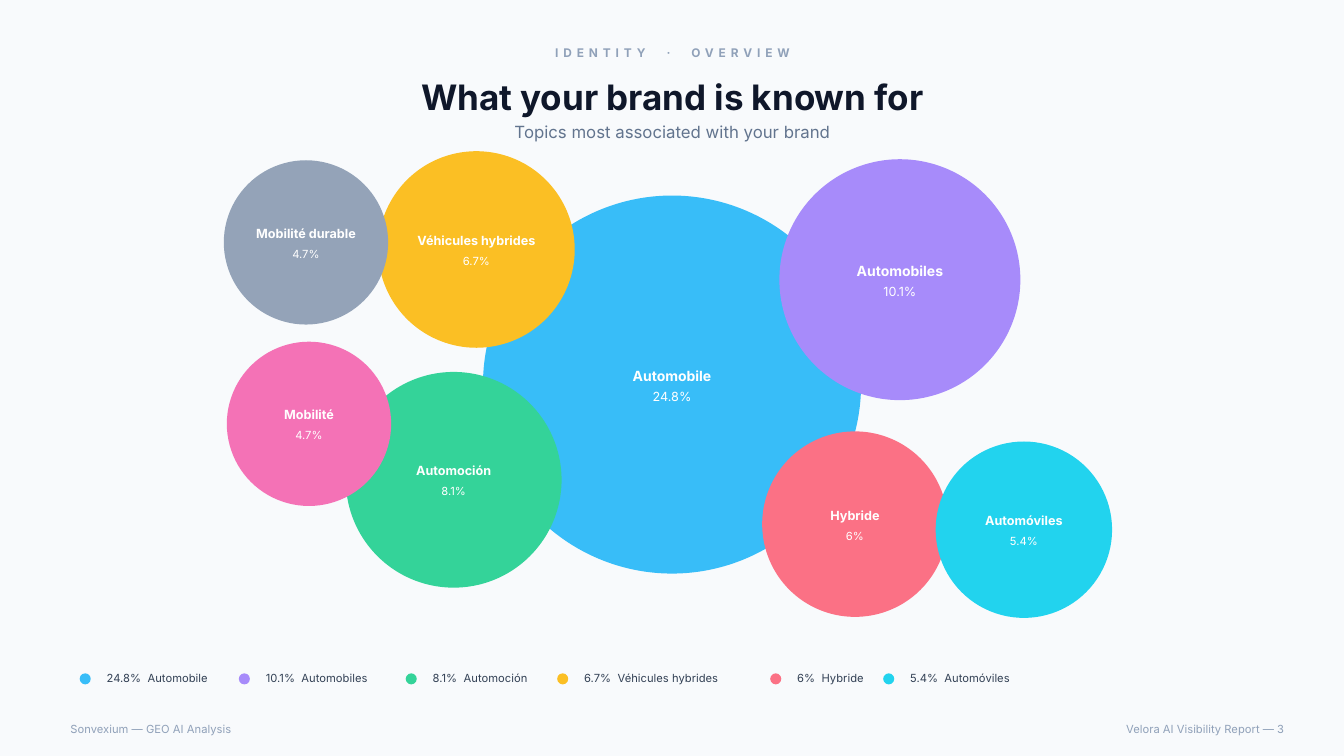
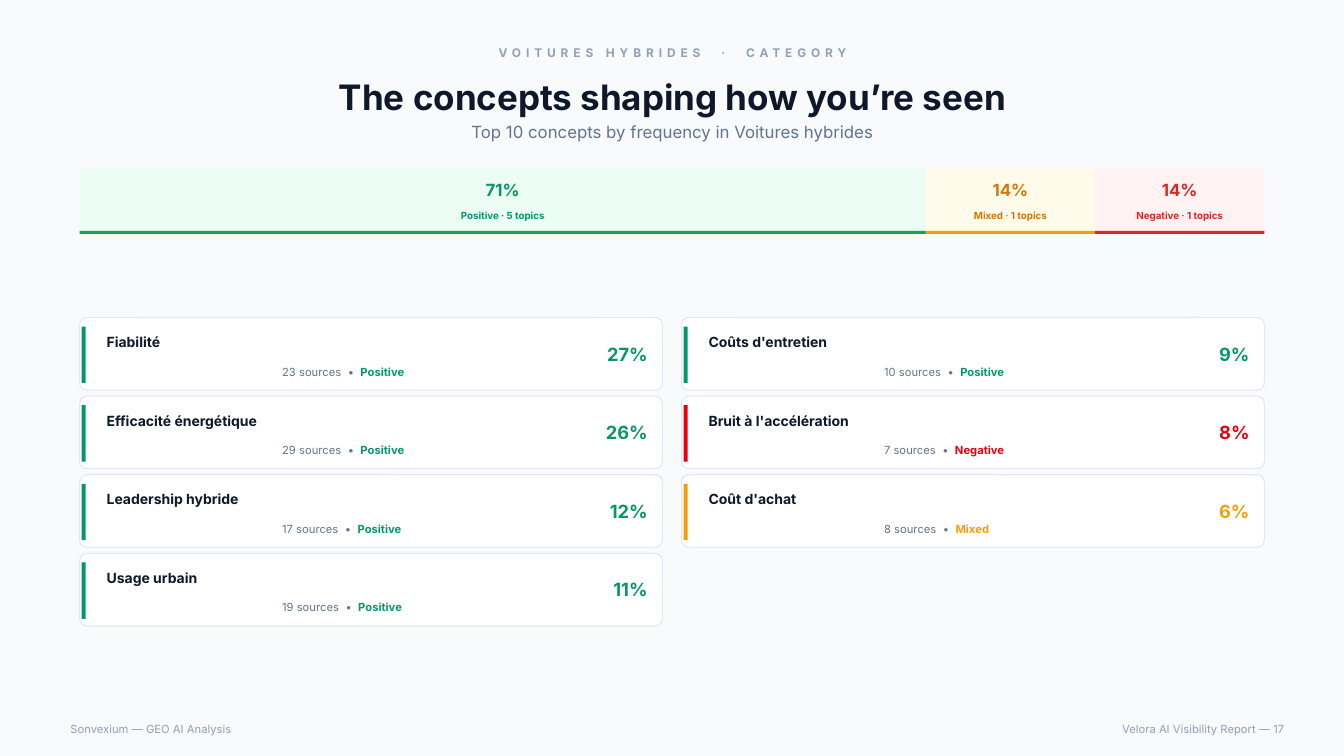
"""Build two brand visibility slides: topic bubbles and concept sentiment cards."""
from dataclasses import dataclass
from typing import NamedTuple

from pptx import Presentation
from pptx import util as u
from pptx.dml.color import RGBColor
from pptx.enum import shapes, text
from pptx.shapes.autoshape import Shape
from pptx.slide import Slide

FONT = "Inter"
CANVAS = RGBColor(0xF8, 0xFA, 0xFC)
WHITE = RGBColor(0xFF, 0xFF, 0xFF)
INK = RGBColor(0x0F, 0x17, 0x2A)
SLATE = RGBColor(0x33, 0x41, 0x55)
MUTED = RGBColor(0x62, 0x74, 0x8E)
FAINT = RGBColor(0x90, 0xA1, 0xB9)
BORDER = RGBColor(0xE2, 0xE8, 0xF0)
SKY = RGBColor(0x38, 0xBD, 0xF8)
VIOLET = RGBColor(0xA7, 0x8B, 0xFA)
MINT = RGBColor(0x34, 0xD3, 0x99)
YELLOW = RGBColor(0xFB, 0xBF, 0x24)
ROSE = RGBColor(0xFB, 0x71, 0x85)
CYAN = RGBColor(0x22, 0xD3, 0xEE)
PINK = RGBColor(0xF4, 0x72, 0xB6)
GREY = RGBColor(0x94, 0xA3, 0xB8)
GREEN = RGBColor(0x05, 0x96, 0x69)
GREEN_RULE = RGBColor(0x16, 0xA3, 0x4A)
GREEN_TINT = RGBColor(0xEC, 0xFD, 0xF5)
AMBER = RGBColor(0xF5, 0x9E, 0x0B)
AMBER_DARK = RGBColor(0xD9, 0x77, 0x06)
AMBER_TINT = RGBColor(0xFF, 0xFB, 0xEB)
RED = RGBColor(0xDC, 0x26, 0x26)
RED_BRIGHT = RGBColor(0xE7, 0x00, 0x0B)
RED_TINT = RGBColor(0xFE, 0xF2, 0xF2)

LEFT = text.PP_ALIGN.LEFT
CENTER = text.PP_ALIGN.CENTER
RIGHT = text.PP_ALIGN.RIGHT
MIDDLE = text.MSO_ANCHOR.MIDDLE
TOP = text.MSO_ANCHOR.TOP
RECTANGLE = shapes.MSO_SHAPE.RECTANGLE
ROUNDED = shapes.MSO_SHAPE.ROUNDED_RECTANGLE
OVAL = shapes.MSO_SHAPE.OVAL

MARGIN = 0.79
CONTENT_WIDTH = 11.75
SPACE_EM = 0.28


class Box(NamedTuple):
    left: float
    top: float
    width: float
    height: float


@dataclass(frozen=True)
class Style:
    size: float
    color: RGBColor
    bold: bool = False
    spacing: float = 0


class Span(NamedTuple):
    text: str
    style: Style


@dataclass(frozen=True)
class Topic:
    name: str
    share: str
    color: RGBColor
    left: float
    top: float
    diameter: float


@dataclass(frozen=True)
class Sentiment:
    name: str
    topics: int
    tint: RGBColor
    rule: RGBColor
    label: RGBColor
    accent: RGBColor


@dataclass(frozen=True)
class Concept:
    name: str
    sources: int
    share: str
    sentiment: Sentiment


EYEBROW = Style(8.5, FAINT, True, 3.5)
TITLE = Style(25, INK, True)
SUBTITLE = Style(12, MUTED)
FOOTER = Style(8, FAINT)
LEGEND = Style(8, SLATE)
CARD_NAME = Style(10, INK, True)
CARD_DETAIL = Style(8, MUTED)

TOPICS = [
    Topic("Automobile", "24.8%", SKY, 4.79, 1.94, 3.75),
    Topic("Automobiles", "10.1%", VIOLET, 7.73, 1.58, 2.39),
    Topic("Automoción", "8.1%", MINT, 3.43, 3.69, 2.14),
    Topic("Véhicules hybrides", "6.7%", YELLOW, 3.75, 1.5, 1.95),
    Topic("Hybride", "6%", ROSE, 7.56, 4.28, 1.84),
    Topic("Automóviles", "5.4%", CYAN, 9.28, 4.38, 1.75),
    Topic("Mobilité", "4.7%", PINK, 2.25, 3.39, 1.63),
    Topic("Mobilité durable", "4.7%", GREY, 2.22, 1.59, 1.63),
]
LEGEND_COUNT = 6

POSITIVE = Sentiment("Positive", 5, GREEN_TINT, GREEN_RULE, GREEN, GREEN)
MIXED = Sentiment("Mixed", 1, AMBER_TINT, AMBER, AMBER_DARK, AMBER)
NEGATIVE = Sentiment("Negative", 1, RED_TINT, RED, RED, RED_BRIGHT)
SENTIMENTS = [POSITIVE, MIXED, NEGATIVE]

CONCEPTS = [
    Concept("Fiabilité", 23, "27%", POSITIVE),
    Concept("Efficacité énergétique", 29, "26%", POSITIVE),
    Concept("Leadership hybride", 17, "12%", POSITIVE),
    Concept("Usage urbain", 19, "11%", POSITIVE),
    Concept("Coûts d'entretien", 10, "9%", POSITIVE),
    Concept("Bruit à l'accélération", 7, "8%", NEGATIVE),
    Concept("Coût d'achat", 8, "6%", MIXED),
]
CARD_ROWS = 4


def inches(box: Box) -> list[u.Length]:
    return [u.Inches(value) for value in box]


def add_shape(slide: Slide, kind: shapes.MSO_SHAPE, box: Box, fill: RGBColor) -> Shape:
    shape = slide.shapes.add_shape(kind, *inches(box))
    shape.shadow.inherit = False
    shape.fill.solid()
    shape.fill.fore_color.rgb = fill
    shape.line.fill.background()
    return shape


def with_wide_gaps(spans: tuple[Span, ...]) -> list[Span]:
    result = [spans[0]]
    for span in spans[1:]:
        style = result[-1].style
        spacing = SPACE_EM * style.size + 2 * style.spacing
        result += [Span(" ", Style(style.size, style.color, style.bold, spacing)), span]
    return result


def add_text(slide: Slide, box: Box, *spans: Span, align: text.PP_ALIGN = CENTER,
             anchor: text.MSO_ANCHOR = MIDDLE) -> None:
    frame = slide.shapes.add_textbox(*inches(box)).text_frame
    frame.word_wrap = True
    frame.vertical_anchor = anchor
    paragraph = frame.paragraphs[0]
    paragraph.alignment = align
    for span in with_wide_gaps(spans):
        run = paragraph.add_run()
        run.text = span.text
        run.font.name = FONT
        run.font.size = u.Pt(span.style.size)
        run.font.bold = span.style.bold
        run.font.color.rgb = span.style.color
        if span.style.spacing:
            run._r.get_or_add_rPr().set("spc", str(round(span.style.spacing * 100)))


def add_page(presentation: Presentation, eyebrow: tuple[str, str], title: str,
             subtitle: str, number: int) -> Slide:
    slide = presentation.slides.add_slide(presentation.slide_layouts[6])
    slide.background.fill.solid()
    slide.background.fill.fore_color.rgb = CANVAS
    section, page = eyebrow
    add_text(slide, Box(0.6, 0.4, 12.14, 0.25),
             *(Span(part, EYEBROW) for part in (section, "·", page)))
    add_text(slide, Box(0.6, 0.68, 12.14, 0.56), Span(title, TITLE))
    add_text(slide, Box(0.6, 1.18, 12.14, 0.25), Span(subtitle, SUBTITLE))
    add_text(slide, Box(0.6, 7.12, 5.97, 0.22),
             Span("Sonvexium — GEO AI Analysis", FOOTER), align=LEFT)
    add_text(slide, Box(6.81, 7.12, 6.03, 0.22),
             Span(f"Velora AI Visibility Report — {number}", FOOTER), align=RIGHT)
    return slide


def add_bubble(slide: Slide, topic: Topic) -> None:
    add_shape(slide, OVAL, Box(topic.left, topic.top, topic.diameter, topic.diameter),
              topic.color)
    size = 10 if topic.diameter > 2.2 else 9
    label_top = topic.top + topic.diameter / 2 - 0.2
    add_text(slide, Box(topic.left, label_top, topic.diameter, 0.22),
             Span(topic.name, Style(size, WHITE, True)))
    add_text(slide, Box(topic.left, label_top + 0.22, topic.diameter, 0.19),
             Span(topic.share, Style(size - 1, WHITE)))


def add_legend(slide: Slide, topics: list[Topic]) -> None:
    left = MARGIN
    for topic in topics:
        text_width = u.Pt(5.5).inches * (len(topic.share) + len(topic.name) + 2)
        add_shape(slide, OVAL, Box(left, 6.68, 0.11, 0.11), topic.color)
        add_text(slide, Box(left + 0.17, 6.62, text_width + 0.17, 0.22),
                 Span(topic.share, LEGEND), Span(topic.name, LEGEND), align=LEFT)
        left += text_width + 0.28


def add_sentiment_bar(slide: Slide) -> None:
    total = sum(sentiment.topics for sentiment in SENTIMENTS)
    left = MARGIN
    for sentiment in SENTIMENTS:
        ratio = sentiment.topics / total
        width = CONTENT_WIDTH * ratio
        add_shape(slide, RECTANGLE, Box(left, 1.67, width, 0.65), sentiment.tint)
        add_shape(slide, RECTANGLE, Box(left, 2.29, width, 0.03), sentiment.rule)
        add_text(slide, Box(left, 1.74, width, 0.28),
                 Span(f"{ratio:.0%}", Style(12, sentiment.label, True)))
        add_text(slide, Box(left, 2.03, width, 0.22),
                 Span(f"{sentiment.name} · {sentiment.topics} topics",
                      Style(7, sentiment.label, True)))
        left += width


def add_card(slide: Slide, concept: Concept, left: float, top: float) -> None:
    accent = concept.sentiment.accent
    card = add_shape(slide, ROUNDED, Box(left, top, 5.78, 0.72), WHITE)
    card.adjustments[0] = 0.1
    card.line.color.rgb = BORDER
    card.line.width = u.Pt(0.75)
    add_shape(slide, RECTANGLE, Box(left + 0.02, top + 0.09, 0.04, 0.56), accent)
    add_text(slide, Box(left + 0.17, top + 0.11, 4.53, 0.27),
             Span(concept.name, CARD_NAME), align=LEFT, anchor=TOP)
    add_text(slide, Box(left + 1.91, top + 0.42, 2.79, 0.22),
             Span(f"{concept.sources} sources", CARD_DETAIL), Span("•", CARD_DETAIL),
             Span(concept.sentiment.name, Style(8, accent, True)), align=LEFT, anchor=TOP)
    add_text(slide, Box(left + 5.01, top, 0.72, 0.72),
             Span(concept.share, Style(13, accent, True)), align=RIGHT)


def add_topics_slide(presentation: Presentation) -> None:
    slide = add_page(presentation, ("IDENTITY", "OVERVIEW"), "What your brand is known for",
                     "Topics most associated with your brand", 3)
    for topic in TOPICS:
        add_bubble(slide, topic)
    add_legend(slide, TOPICS[:LEGEND_COUNT])


def add_concepts_slide(presentation: Presentation) -> None:
    slide = add_page(presentation, ("VOITURES HYBRIDES", "CATEGORY"),
                     "The concepts shaping how you’re seen",
                     "Top 10 concepts by frequency in Voitures hybrides", 17)
    add_sentiment_bar(slide)
    for index, concept in enumerate(CONCEPTS):
        column, row = divmod(index, CARD_ROWS)
        add_card(slide, concept, MARGIN + 5.97 * column, 3.15 + 0.78 * row)


def main() -> None:
    presentation = Presentation()
    presentation.slide_width = u.Inches(13.33)
    presentation.slide_height = u.Inches(7.5)
    add_topics_slide(presentation)
    add_concepts_slide(presentation)
    presentation.save("out.pptx")


if __name__ == "__main__":
    main()
